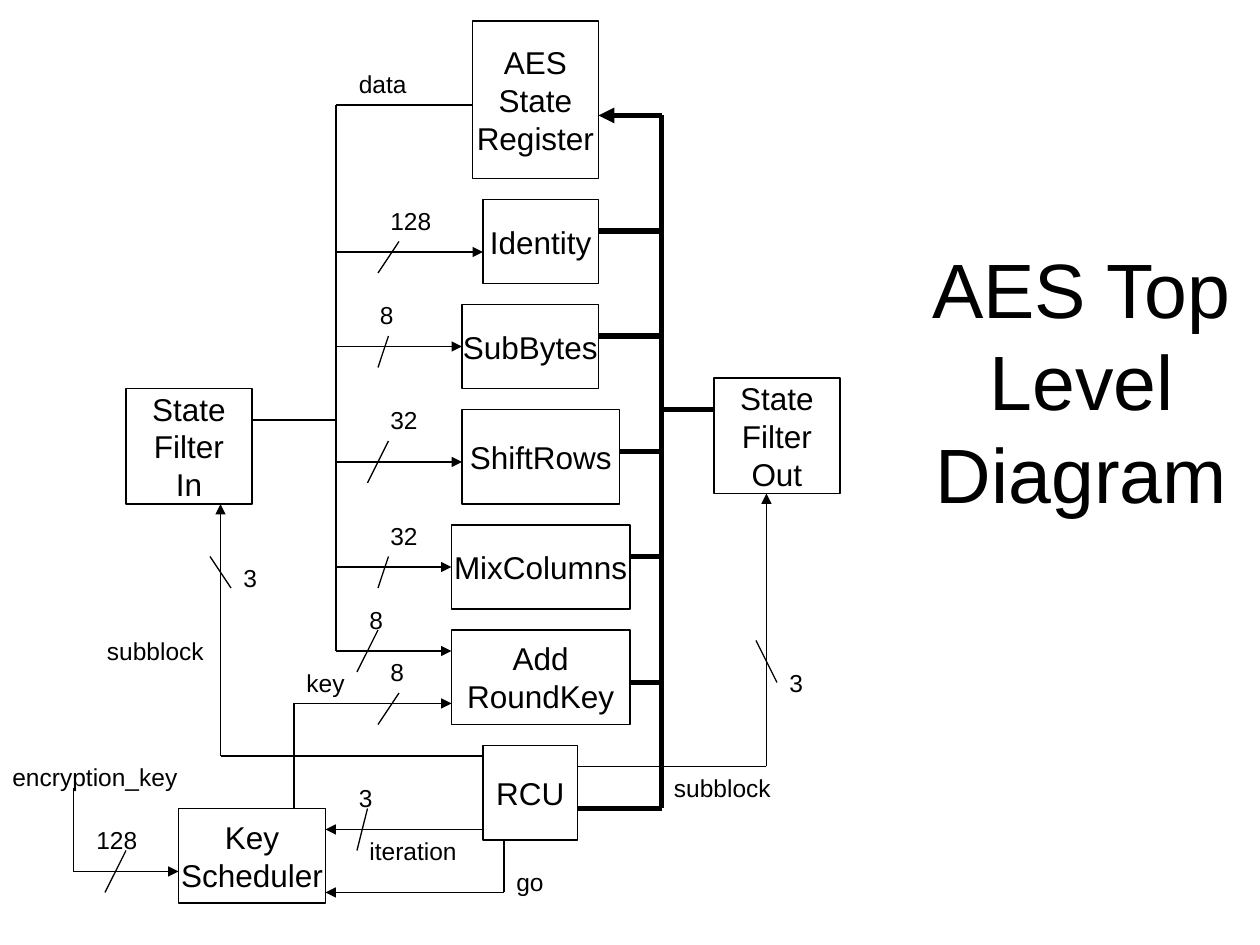
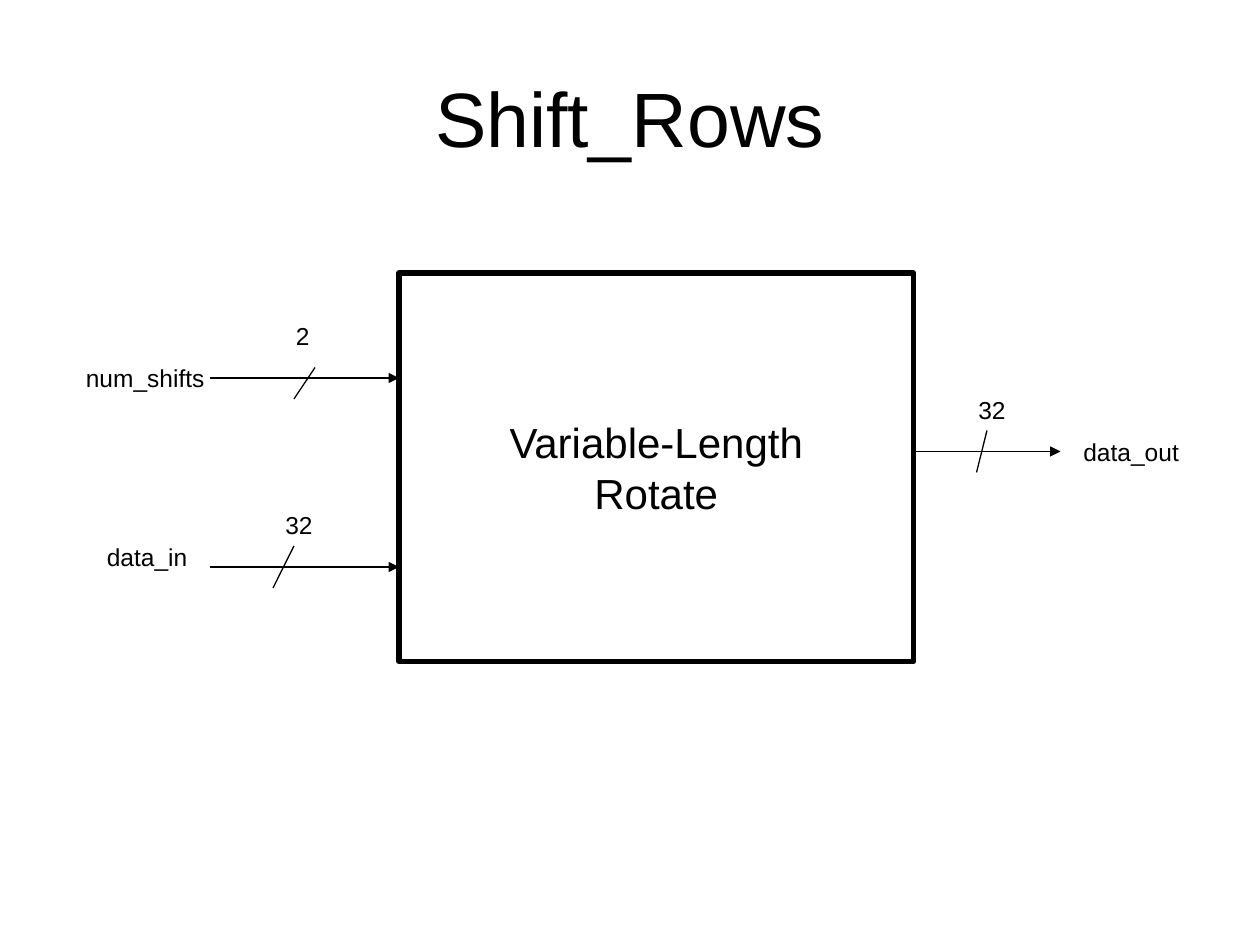
from itertools import pairwise
from typing import NamedTuple

from pptx import Presentation
from pptx.dml.color import RGBColor
from pptx.enum.shapes import MSO_CONNECTOR, MSO_SHAPE
from pptx.enum.text import MSO_ANCHOR, MSO_AUTO_SIZE, PP_ALIGN
from pptx.oxml.ns import qn
from pptx.util import Inches, Pt
from lxml.etree import SubElement

# Shared look; every length is counted in grid cells, twelve to the inch
CELL = Inches(1) / 12
COLS, ROWS = 120, 90
INK, PAPER = "000000", "FFFFFF"
FONT = "Arial"
TITLE, BODY, NOTE = 44, 18, 14
THIN, THICK = 0.75, 3
LABEL_H = 4


class Box(NamedTuple):
    text: str
    x: float
    y: float
    w: float
    h: float
    size: int = BODY
    line: float = THIN


class Wire(NamedTuple):
    points: list[tuple[float, float]]
    arrow: bool = True
    line: float = THIN


class Label(NamedTuple):
    text: str
    x: float
    y: float
    w: float


def grid(*cells: float) -> list[int]:
    return [round(c * CELL) for c in cells]


def color(code: str) -> RGBColor:
    return RGBColor.from_string(code)


def write(shape, text: str, size: int = NOTE, align=PP_ALIGN.LEFT,
          anchor=MSO_ANCHOR.TOP, wrap: bool = True, before: float = 0) -> None:
    frame = shape.text_frame
    frame.word_wrap = wrap
    frame.vertical_anchor = anchor
    for i, line in enumerate(text.split("\n")):
        para = frame.add_paragraph() if i else frame.paragraphs[0]
        para.alignment = align
        para.space_before = Pt(before)
        run = para.add_run()
        run.text = line
        run.font.name = FONT
        run.font.size = Pt(size)
        run.font.color.rgb = color(INK)


def draw_title(slide, text: str, x: float, y: float, w: float, h: float) -> None:
    shape = slide.shapes.add_textbox(*grid(x, y, w, h))
    write(shape, text, size=TITLE, align=PP_ALIGN.CENTER, anchor=MSO_ANCHOR.MIDDLE)


def draw_box(slide, box: Box) -> None:
    shape = slide.shapes.add_shape(MSO_SHAPE.RECTANGLE, *grid(box.x, box.y, box.w, box.h))
    shape.shadow.inherit = False
    shape.fill.solid()
    shape.fill.fore_color.rgb = color(PAPER)
    shape.line.color.rgb = color(INK)
    shape.line.width = Pt(box.line)
    write(shape, box.text, size=box.size, align=PP_ALIGN.CENTER,
          anchor=MSO_ANCHOR.MIDDLE, wrap=False)


def draw_wire(slide, wire: Wire) -> None:
    for start, end in pairwise(wire.points):
        part = slide.shapes.add_connector(MSO_CONNECTOR.STRAIGHT, *grid(*start, *end))
        part.line.color.rgb = color(INK)
        part.line.width = Pt(wire.line)
        props = part._element.spPr
        SubElement(props, qn("a:effectLst"))
        if wire.arrow and end == wire.points[-1]:
            SubElement(props.find(qn("a:ln")), qn("a:tailEnd"), type="triangle")


def draw_label(slide, label: Label) -> None:
    shape = slide.shapes.add_textbox(*grid(label.x, label.y, label.w, LABEL_H))
    write(shape, label.text, before=8.8)
    shape.text_frame.auto_size = MSO_AUTO_SIZE.SHAPE_TO_FIT_TEXT


def slash(x1: float, y1: float, x2: float, y2: float) -> Wire:
    return Wire([(x1, y1), (x2, y2)], arrow=False)


def draw(slide, boxes: list[Box], wires: list[Wire], labels: list[Label]) -> None:
    for box in boxes:
        draw_box(slide, box)
    for wire in wires:
        draw_wire(slide, wire)
    for label in labels:
        draw_label(slide, label)


# Slide 1: the whole cipher
def top_level(slide) -> None:
    draw_title(slide, "AES Top Level Diagram", 81, 8, 44, 56.4)
    boxes = [
        Box("AES\nState\nRegister", 45, 2, 12, 15),
        Box("Identity", 46, 19, 11, 8),
        Box("SubBytes", 44, 29, 13, 8),
        Box("State\nFilter\nOut", 68, 36, 12, 11),
        Box("Key\nScheduler", 17, 77, 14, 9),
        Box("RCU", 46, 71, 9, 9),
        Box("Add\nRoundKey", 43, 60, 17, 9),
        Box("State\nFilter\nIn", 12, 37, 12, 11),
        Box("MixColumns", 43, 50, 17, 8),
        Box("ShiftRows", 44, 39, 15, 9),
    ]
    feed, bus = 32, 63
    wires = [
        Wire([(7, 75), (7, 83), (17, 83)]),                      # encryption key
        Wire([(28, 77), (28, 67), (43, 67)]),                    # round key
        Wire([(48, 80), (48, 85), (31, 85)]),                    # go
        Wire([(46, 79), (31, 79)]),                              # iteration
        Wire([(55, 73), (73, 73), (73, 47)]),                    # subblock out
        Wire([(46, 72), (21, 72), (21, 48)]),                    # subblock in
        Wire([(45, 10), (feed, 10), (feed, 62), (43, 62)]),      # state data
        Wire([(24, 40), (feed, 40)], arrow=False),
        Wire([(55, 77), (bus, 77), (bus, 65), (bus, 11), (57, 11)], line=THICK),
    ]
    # Branches from the data feed, then taps onto the result bus
    wires += [Wire([(feed, y), (x, y)])
              for x, y in [(43, 54), (44, 44), (44, 33), (46, 24)]]
    wires += [Wire([(x, y), (bus, y)], arrow=False, line=THICK)
              for x, y in [(60, 65), (60, 53), (59, 43), (68, 39), (57, 32), (57, 22)]]
    # Bus width marks
    wires += [slash(*ends) for ends in [
        (12, 81, 10, 85), (38, 66, 36, 69), (35, 77, 34, 81), (72, 61, 74, 65),
        (20, 53, 22, 56), (38, 23, 36, 26), (37, 32, 36, 35), (37, 42, 35, 46),
        (37, 53, 36, 56), (36, 60, 34, 64)]]
    labels = [
        Label("encryption_key", 0, 72, 25),
        Label("key", 28, 63, 7),
        Label("128", 8, 78, 7),
        Label("8", 36, 62, 4),
        Label("go", 48, 82, 6),
        Label("3", 33, 74, 4),
        Label("iteration", 34, 79, 14),
        Label("subblock", 63, 73, 12),
        Label("3", 74, 63, 5),
        Label("subblock", 9, 60, 12),
        Label("3", 22, 53, 5),
        Label("data", 33, 6, 11),
        Label("8", 34, 57, 5),
        Label("32", 36, 49, 5),
        Label("8", 35, 28, 5),
        Label("32", 36, 38, 5),
        Label("128", 36, 19, 7),
    ]
    draw(slide, boxes, wires, labels)


# Slide 2: the row shifter
def shift_rows(slide) -> None:
    draw_title(slide, "Shift_Rows", 6, 3.6, 108, 15)
    boxes = [Box("Variable-Length\nRotate", 38, 26, 49, 37, size=24, line=THICK)]
    wires = [Wire([(x1, y), (x2, y)])
             for x1, x2, y in [(20, 38, 36), (20, 38, 54), (87, 101, 43)]]
    wires += [slash(*ends) for ends in [
        (94, 41, 93, 45), (30, 35, 28, 38), (28, 52, 26, 56)]]
    labels = [
        Label("2", 27, 30, 6),
        Label("32", 92, 37, 6),
        Label("32", 26, 48, 6),
        Label("num_shifts", 7, 34, 18),
        Label("data_out", 102, 41, 18),
        Label("data_in", 9, 51, 18),
    ]
    draw(slide, boxes, wires, labels)


def main() -> None:
    deck = Presentation()
    deck.slide_width, deck.slide_height = grid(COLS, ROWS)
    blank = deck.slide_layouts[6]
    for build in (top_level, shift_rows):
        build(deck.slides.add_slide(blank))
    deck.save("out.pptx")


if __name__ == "__main__":
    main()
